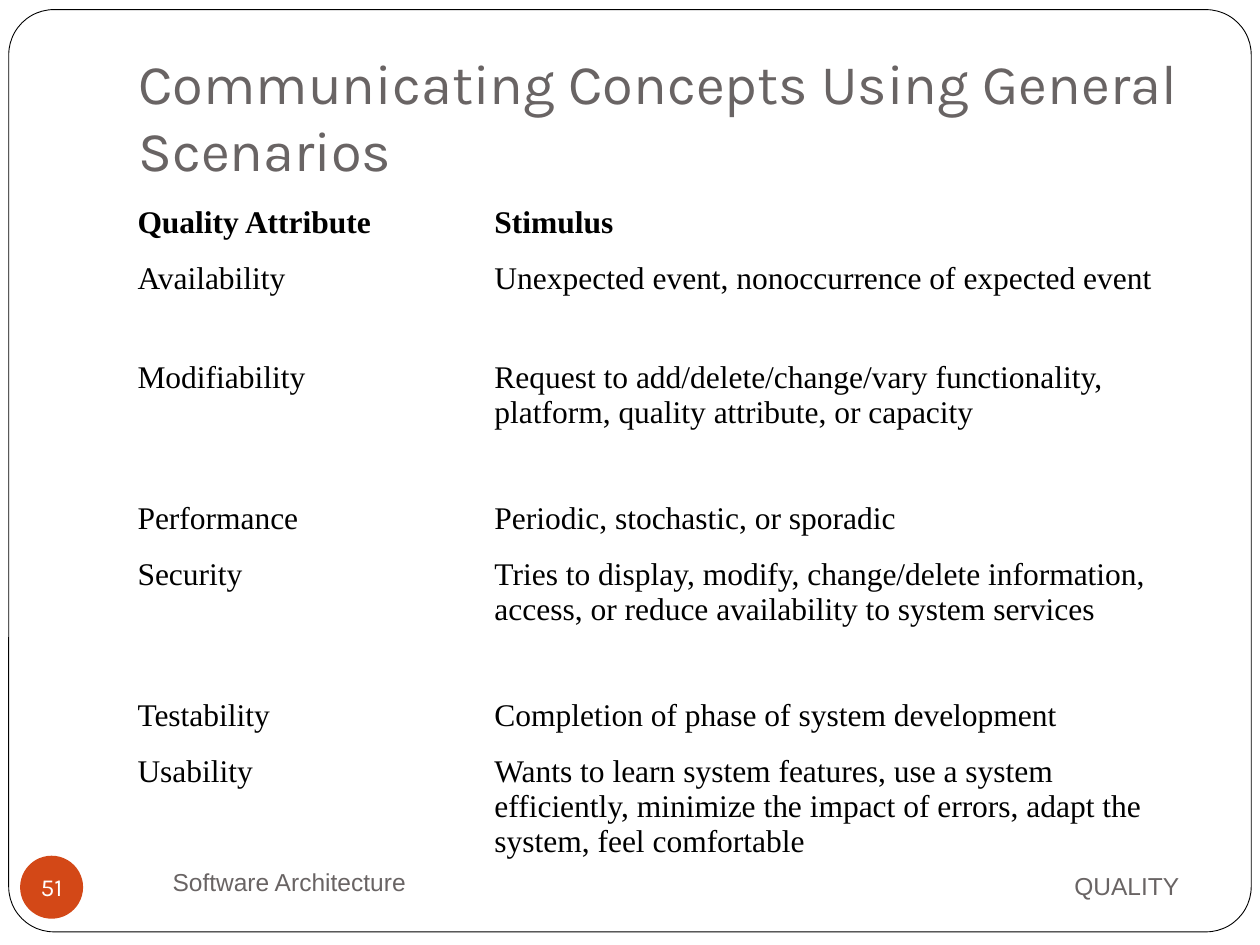
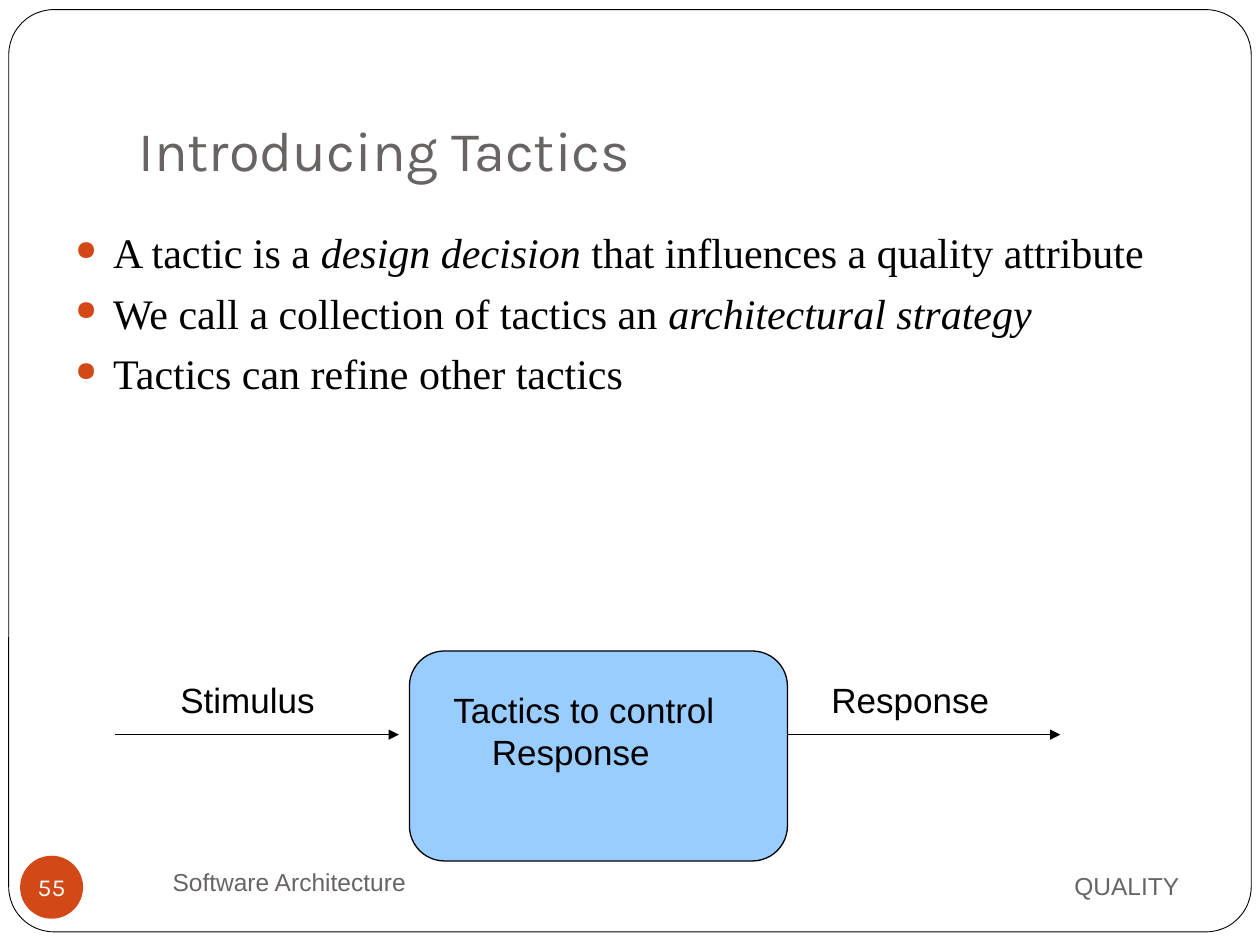
from lxml import etree
from pptx import Presentation
from pptx.dml.color import RGBColor
from pptx.enum import shapes, text
from pptx.oxml.ns import qn
from pptx.util import Pt

BLACK = RGBColor(0x00, 0x00, 0x00)
WHITE = RGBColor(0xFF, 0xFF, 0xFF)
GRAY = RGBColor(0x69, 0x64, 0x64)
ORANGE = RGBColor(0xD3, 0x48, 0x17)
SKY = RGBColor(0x99, 0xCC, 0xFF)

HEADING_FONT, LABEL_FONT, BODY_FONT = "Karla", "Arial", "Times New Roman"


def write(frame, *lines, size, font, color=BLACK, bold=False, align=None,
          anchor=None, left=0, first=0, gap=0, bullet=None):
    """Write one paragraph per line; parts between asterisks are italic."""
    frame.word_wrap = True
    if anchor is not None:
        frame.vertical_anchor = anchor
    for number, line in enumerate(lines):
        paragraph = frame.add_paragraph() if number else frame.paragraphs[0]
        properties = paragraph._p.get_or_add_pPr()
        if left:
            properties.set("marL", str(Pt(left)))
            properties.set("indent", str(Pt(first)))
        if bullet:
            bullet_color = etree.SubElement(properties, qn("a:buClr"))
            etree.SubElement(bullet_color, qn("a:srgbClr"), val=str(ORANGE))
            etree.SubElement(properties, qn("a:buSzPct"), val="65000")
            etree.SubElement(properties, qn("a:buChar"), char=bullet)
        if number and gap:
            paragraph.space_before = Pt(gap)
        paragraph.alignment = align
        for part, words in enumerate(line.split("*")):
            if words:
                run = paragraph.add_run()
                run.text = words
                run.font.size, run.font.name = Pt(size), font
                run.font.color.rgb = color
                run.font.bold, run.font.italic = bold, part % 2 == 1


def add_panel(slide, kind, bounds, fill, line_width=0, corner=None):
    panel = slide.shapes.add_shape(kind, *map(Pt, bounds))
    panel.shadow.inherit = False
    panel.fill.solid()
    panel.fill.fore_color.rgb = fill
    if line_width:
        panel.line.color.rgb = BLACK
        panel.line.width = Pt(line_width)
    else:
        panel.line.fill.background()
    if corner:
        panel.adjustments[0] = corner
    return panel


deck = Presentation()
deck.slide_width, deck.slide_height = Pt(720), Pt(540)

# Frame, title and footer of every slide
slides = []
for page, title in [("51", "Communicating Concepts Using General Scenarios"),
                    ("55", "Introducing Tactics")]:
    slide = deck.slides.add_slide(deck.slide_layouts[6])
    slides.append(slide)
    add_panel(slide, shapes.MSO_SHAPE.ROUNDED_RECTANGLE, (5, 5.5, 710, 527),
              WHITE, line_width=0.5, corner=0.049)

    heading = slide.shapes.add_textbox(Pt(72), Pt(21.6), Pt(612), Pt(90)).text_frame
    heading.margin_bottom = Pt(7.2)
    write(heading, title, size=32, font=HEADING_FONT, color=GRAY,
          anchor=text.MSO_ANCHOR.BOTTOM)

    topic = slide.shapes.add_textbox(Pt(486), Pt(487.4), Pt(195), Pt(37.4))
    write(topic.text_frame, "QUALITY", size=14, font=LABEL_FONT, color=GRAY,
          align=text.PP_ALIGN.RIGHT, anchor=text.MSO_ANCHOR.MIDDLE)
    course = slide.shapes.add_textbox(Pt(72), Pt(486), Pt(312), Pt(36))
    write(course.text_frame, "Software Architecture", size=14, font=LABEL_FONT,
          color=GRAY, left=19.5, anchor=text.MSO_ANCHOR.MIDDLE)

    badge = add_panel(slide, shapes.MSO_SHAPE.OVAL, (11.5, 489, 36, 36), ORANGE).text_frame
    badge.margin_left = badge.margin_right = badge.margin_top = badge.margin_bottom = 0
    write(badge, page, size=14, font=HEADING_FONT, color=WHITE,
          align=text.PP_ALIGN.CENTER, anchor=text.MSO_ANCHOR.MIDDLE)

scenario_slide, tactics_slide = slides

# Stimulus for each quality attribute, with row heights; the last row ends above the footer
scenarios = [
    (32, "Quality Attribute", "Stimulus"),
    (56.5, "Availability", "Unexpected event, nonoccurrence of expected event"),
    (80.5, "Modifiability", "Request to add/delete/change/vary functionality, "
                            "platform, quality attribute, or capacity"),
    (32, "Performance", "Periodic, stochastic, or sporadic"),
    (81, "Security", "Tries to display, modify, change/delete information, "
                     "access, or reduce availability to system services"),
    (32, "Testability", "Completion of phase of system development"),
    (64, "Usability", "Wants to learn system features, use a system efficiently, "
                      "minimize the impact of errors, adapt the system, feel comfortable"),
]
total_height = sum(height for height, *_ in scenarios)
table = scenario_slide.shapes.add_table(
    len(scenarios), 2, Pt(72), Pt(113.8), Pt(612), Pt(total_height)).table
table.first_row = table.horz_banding = False
table.columns[0].width, table.columns[1].width = Pt(204), Pt(408)
for row, (height, *entries) in enumerate(scenarios):
    table.rows[row].height = Pt(height)
    for column, entry in enumerate(entries):
        cell = table.cell(row, column)
        cell.margin_left = cell.margin_right = Pt(6.6)
        if row == len(scenarios) - 1:
            cell.margin_bottom = 0
        cell_properties = cell._tc.get_or_add_tcPr()
        for side in ("a:lnL", "a:lnR", "a:lnT", "a:lnB"):
            border = etree.SubElement(cell_properties, qn(side), w="0")
            etree.SubElement(border, qn("a:noFill"))
        cell.fill.background()
        write(cell.text_frame, entry, size=18, font=BODY_FONT, bold=row == 0)

# Definition of tactics
definition = tactics_slide.shapes.add_textbox(Pt(36), Pt(126), Pt(660), Pt(384))
write(definition.text_frame,
      "A tactic is a *design decision* that influences a quality attribute",
      "We call a collection of tactics an *architectural strategy*",
      "Tactics can refine other tactics",
      size=24, font=BODY_FONT, left=21.6, first=-21.6, gap=5.8, bullet="●")

# Stimulus, tactics, response
add_panel(tactics_slide, shapes.MSO_SHAPE.ROUNDED_RECTANGLE, (234, 372, 216, 120),
          SKY, line_width=0.75, corner=0.167)
for start, end in [(66, 228), (450, 606)]:
    arrow = tactics_slide.shapes.add_connector(
        shapes.MSO_CONNECTOR.STRAIGHT, Pt(start), Pt(419.8), Pt(end), Pt(419.8))
    arrow.line.color.rgb = BLACK
    arrow.line.width = Pt(0.75)
    outline = arrow._element.spPr
    etree.SubElement(outline.find(qn("a:ln")), qn("a:tailEnd"), type="triangle")
    etree.SubElement(outline, qn("a:effectLst"))

for label, bounds, hang in [("Stimulus", (96, 384, 102, 32), 0),
                            ("Tactics to control Response", (252, 390, 180, 55), 22),
                            ("Response", (468, 384, 120, 32), 0)]:
    step = tactics_slide.shapes.add_textbox(*map(Pt, bounds))
    write(step.text_frame, label, size=20, font=LABEL_FONT, left=hang, first=-hang)

deck.save("out.pptx")
